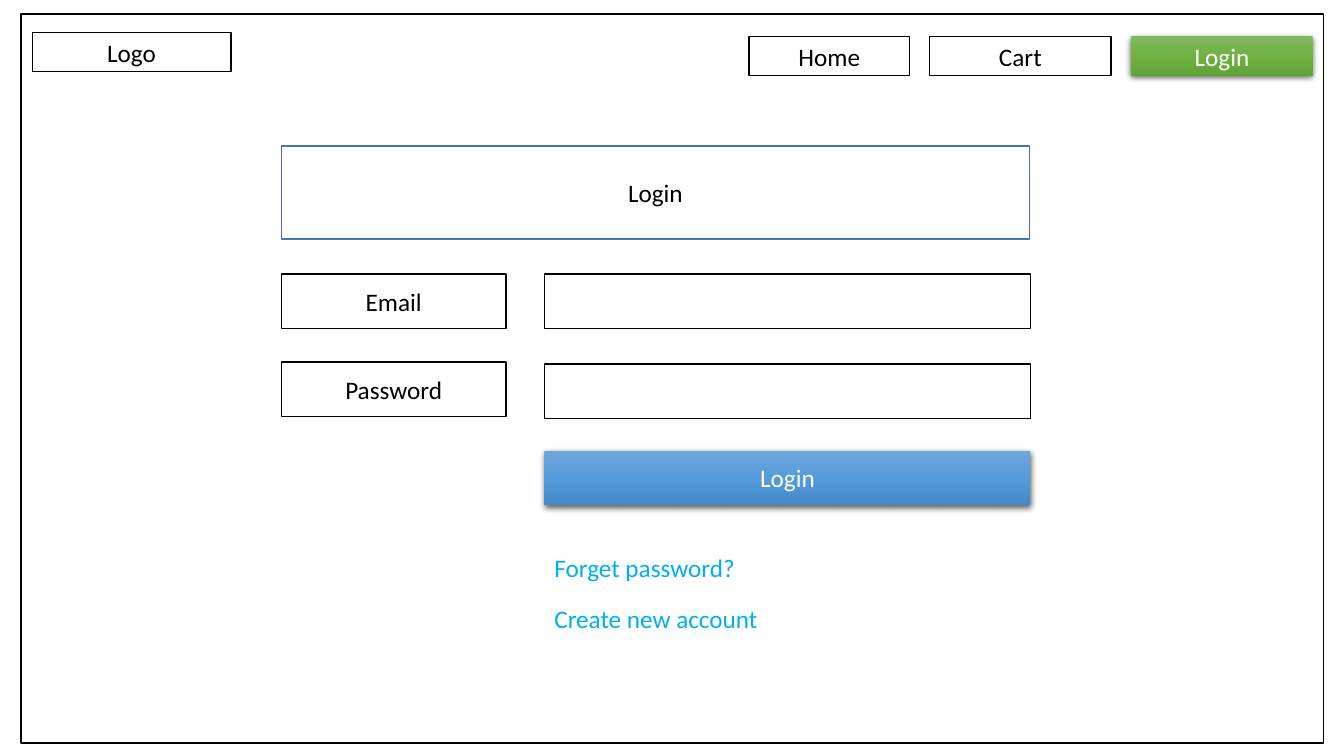
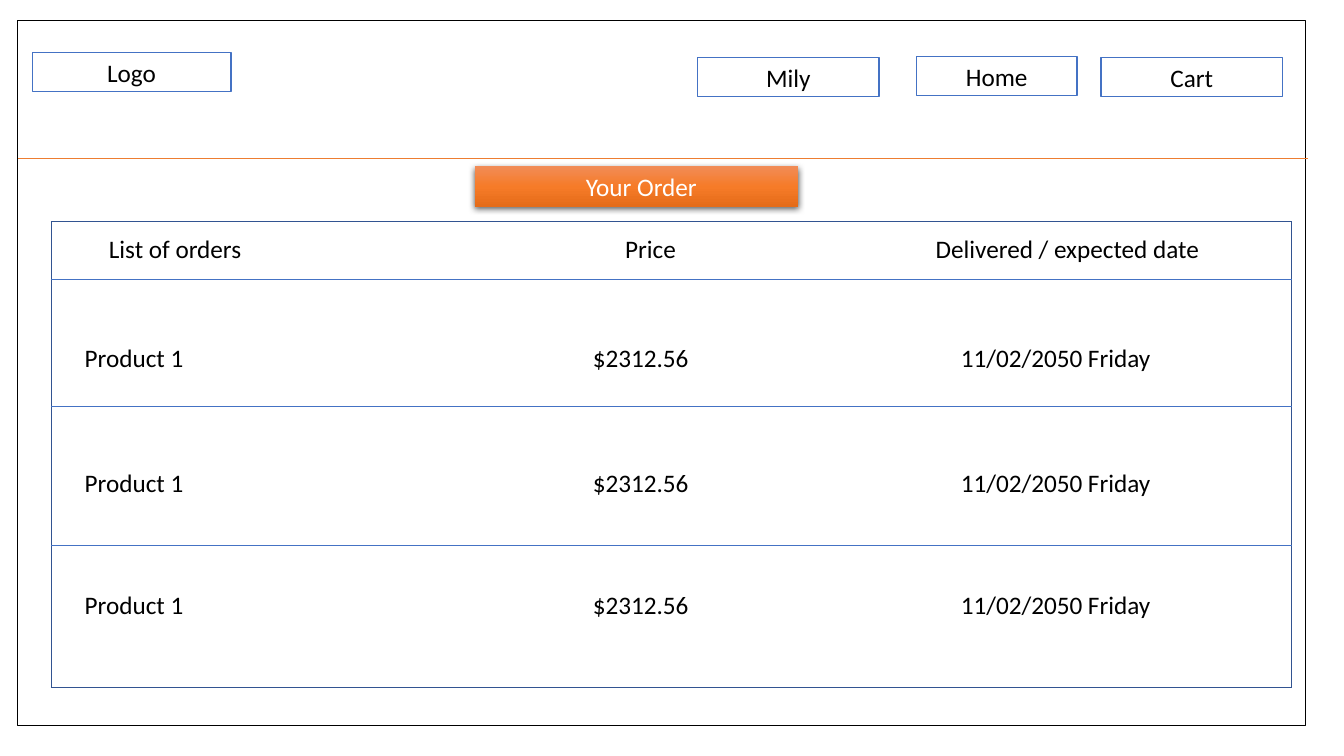
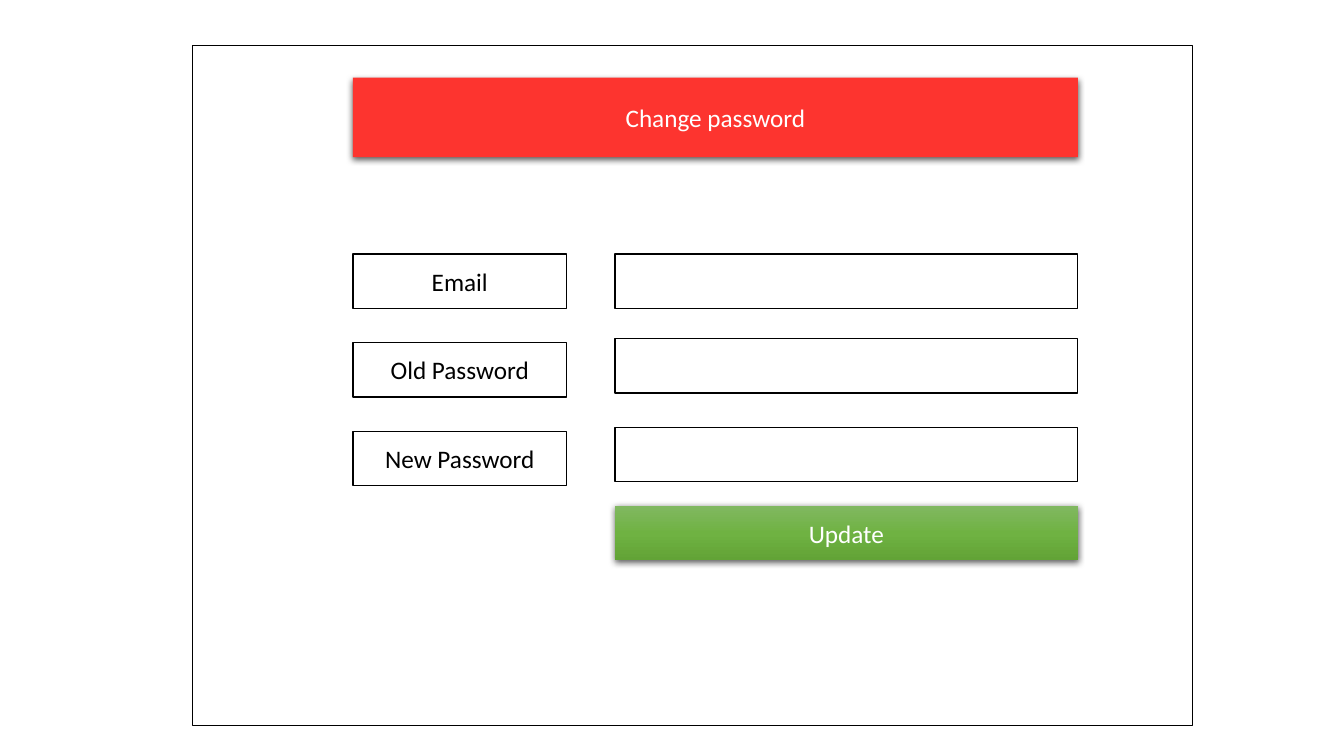
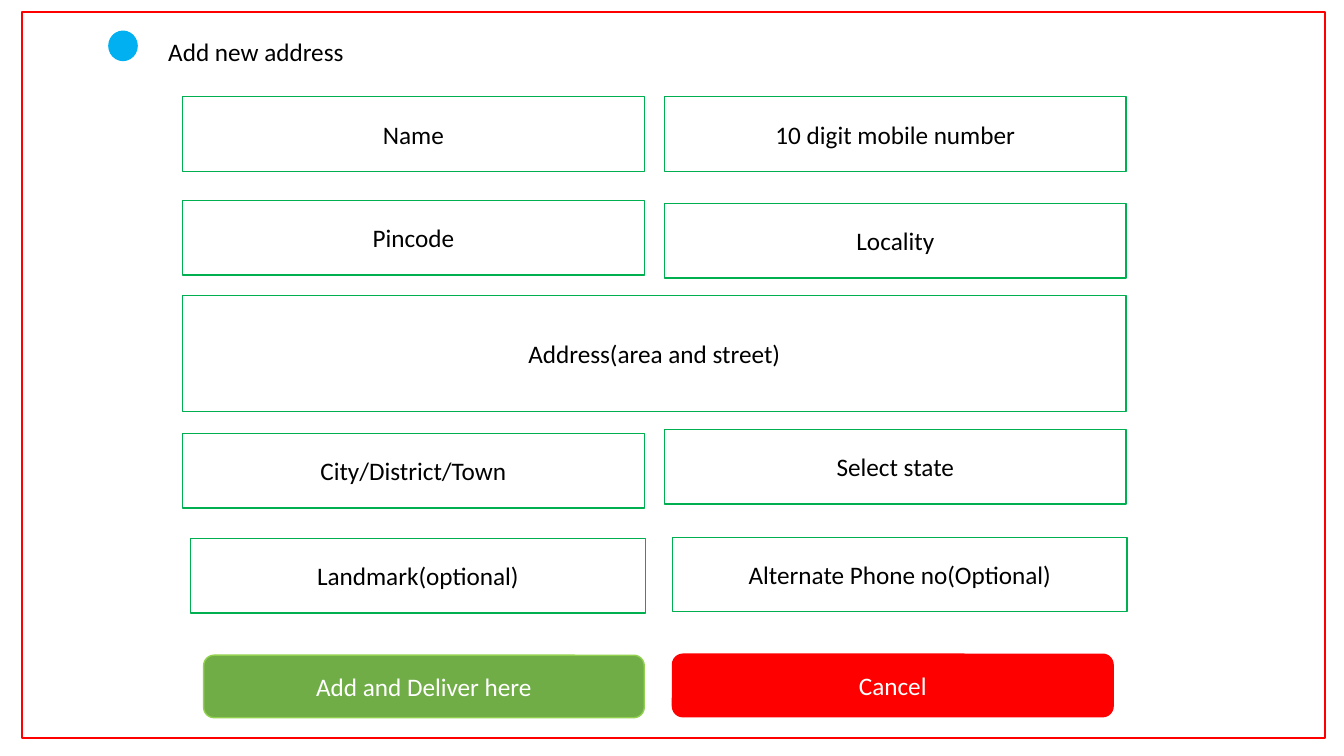
import pptx
import pptx.util
import pptx.dml.color
import pptx.enum.shapes
import pptx.enum.text
import pptx.oxml
import pptx.oxml.ns

Inches, Pt = pptx.util.Inches, pptx.util.Pt
SHAPE = pptx.enum.shapes.MSO_SHAPE
ANCHOR = pptx.enum.text.MSO_ANCHOR
ALIGN = pptx.enum.text.PP_ALIGN

COLORS = {
    "black": "000000", "white": "FFFFFF", "blue": "4472C4", "navy": "325491",
    "orange": "ED7D31", "red": "FF0000", "coral": "FD342F", "green": "00B050",
    "leaf": "70AD47", "lime": "92D050", "sky": "00B0F0",
}
GRADIENTS = {
    "blue": ("71A6DB", "559BDB", "448ACA"),
    "green": ("81B861", "6FB242", "62A336"),
    "orange": ("F18C57", "F67B28", "E56C19"),
}
FONT = {"name": "Calibri", "size": Pt(18)}
ROW_H = 0.54
NAV_H = 0.39

# Boxes are (left, top, width, height) in inches.
LOGIN = {
    "frame": (0.21, 0.14, 12.92, 7.23),
    "title": ("Login", (2.79, 1.45, 7.42, 0.92)),
    "nav": [("Logo", 0.32, 0.32, 1.97), ("Home", 7.43, 0.36, 1.59),
            ("Cart", 9.22, 0.36, 1.8)],
    "active": ("Login", (11.22, 0.36, 1.8, NAV_H)),
    "columns": ((2.79, 2.23), (5.4, 4.82)),
    "rows": [("Email", 2.72, 2.72), ("Password", 3.59, 3.61)],
    "button": ("Login", 4.47),
    "links": [("Forget password?", (5.4, 5.43, 2.32, 0.4)),
              ("Create new account", (5.4, 5.94, 2.83, 0.4))],
}
ORDERS = {
    "frame": (0.17, 0.2, 12.78, 7),
    "title": ("Your Order", (4.71, 1.65, 3.21, 0.4)),
    "nav": [("Logo", 0.32, 0.52, 1.97), ("Mily", 6.92, 0.57, 1.8),
            ("Cart", 10.92, 0.57, 1.8), ("Home", 9.09, 0.56, 1.59)],
    "rule": (0.18, 12.97, 1.57),
    "column_edges": (0.51, 5.5, 9.0, 12.81),
    "row_edges": (2.2, 2.77, 4.03, 5.41, 6.82),
    "rows": [("List of orders", "Price", "Delivered / expected date")]
            + [("Product 1", "$2312.56", "11/02/2050 Friday")] * 3,
    "header_insets": (0.57, 0.7, 0.28),
    "body_insets": (0.33, 0.38, 0.53),
    "top_insets": (0.13, 0.64, 0.62, 0.45),
}
PASSWORD = {
    "frame": (1.91, 0.45, 9.92, 6.75),
    "title": ("Change password", (3.5, 0.77, 7.19, 0.79)),
    "columns": ((3.5, 2.12), (6.1, 4.59)),
    "rows": [("Email", 2.52, 2.52), ("Old Password", 3.4, 3.36),
             ("New Password", 4.28, 4.24)],
    "button": ("Update", 5.02),
}
ADDRESS = {
    "frame": (0.22, 0.12, 12.92, 7.2),
    "title": ("Add new address", (1.57, 0.31, 3.28, 0.4)),
    "bullet": (1.08, 0.31, 0.28, 0.29),
    "fields": [
        ("Name", (1.81, 0.96, 4.58, 0.74)),
        ("10 digit mobile number", (6.59, 0.96, 4.58, 0.74)),
        ("Pincode", (1.81, 1.99, 4.58, 0.74)),
        ("Locality", (6.59, 2.02, 4.58, 0.74)),
        ("Address(area and street)", (1.81, 2.93, 9.36, 1.15)),
        ("City/District/Town", (1.81, 4.3, 4.58, 0.74)),
        ("Select state", (6.59, 4.26, 4.58, 0.74)),
        ("Landmark(optional)", (1.89, 5.34, 4.51, 0.74)),
        ("Alternate Phone no(Optional)", (6.67, 5.33, 4.51, 0.74)),
    ],
    "buttons": [("Add and Deliver here", (2.02, 6.5, 4.37, 0.62), "leaf", "lime"),
                ("Cancel", (6.67, 6.49, 4.37, 0.62), "red", "red")],
}


def rgb(name):
    """Return the named colour."""
    return pptx.dml.color.RGBColor.from_string(COLORS[name])


def xml(tag, body, attrs=""):
    """Return a DrawingML element."""
    ns = pptx.oxml.ns.nsdecls("a")
    return pptx.oxml.parse_xml(f"<a:{tag} {ns} {attrs}>{body}</a:{tag}>")


def solid(hex_color, extra=""):
    """Return the markup of one colour."""
    return f'<a:srgbClr val="{hex_color}">{extra}</a:srgbClr>'


def write(tf, text, color="black", align=ALIGN.LEFT):
    """Put one formatted paragraph in a text frame."""
    tf.word_wrap = True
    p = tf.paragraphs[0]
    p.alignment = align
    r = p.add_run()
    r.text = text
    for key, value in FONT.items():
        setattr(r.font, key, value)
    r.font.color.rgb = rgb(color)


def add_box(s, at, text="", fill="white", line="black", color="black",
            kind=SHAPE.RECTANGLE, weight=1):
    """Add a preset shape, with centred text if there is any."""
    sp = s.shapes.add_shape(kind, *map(Inches, at))
    sp.shadow.inherit = False
    if fill:
        sp.fill.solid()
        sp.fill.fore_color.rgb = rgb(fill)
    else:
        sp.fill.background()
    if line:
        sp.line.color.rgb = rgb(line)
        sp.line.width = Pt(weight)
    else:
        sp.line.fill.background()
    if text:
        sp.text_frame.vertical_anchor = ANCHOR.MIDDLE
        write(sp.text_frame, text, color, ALIGN.CENTER)
    return sp


def add_raised(s, at, text, fill=None, gradient=None):
    """Add a borderless box with a soft shadow and white text."""
    sp = add_box(s, at, text, fill, None, "white")
    spPr = sp._element.spPr
    if gradient:
        stops = "".join(f'<a:gs pos="{i * 50000}">{solid(c)}</a:gs>'
                        for i, c in enumerate(GRADIENTS[gradient]))
        body = f'<a:gsLst>{stops}</a:gsLst><a:lin ang="5400000" scaled="0"/>'
        old = spPr.find(pptx.oxml.ns.qn("a:noFill"))
        spPr.replace(old, xml("gradFill", body, 'rotWithShape="1"'))
    shadow = solid(COLORS["black"], '<a:alpha val="63000"/>')
    effects = spPr.find(pptx.oxml.ns.qn("a:effectLst"))
    effects.append(xml("outerShdw", shadow,
                       f'blurRad="{Pt(4.5)}" dist="{Pt(1.5)}" dir="5400000" '
                       'algn="ctr" rotWithShape="0"'))
    return sp


def add_text(s, text, at, color="black"):
    """Add a text box."""
    write(s.shapes.add_textbox(*map(Inches, at)).text_frame, text, color)


def add_nav(s, items, line):
    """Add the boxes of the top bar."""
    for text, left, top, width in items:
        add_box(s, (left, top, width, NAV_H), text, line=line)


def add_form(s, page, gradient):
    """Add label and field pairs, with a button under the fields."""
    (label_x, label_w), (field_x, field_w) = page["columns"]
    for label, label_y, field_y in page["rows"]:
        add_box(s, (label_x, label_y, label_w, ROW_H), label)
        add_box(s, (field_x, field_y, field_w, ROW_H))
    text, top = page["button"]
    add_raised(s, (field_x, top, field_w, ROW_H), text, gradient=gradient)


def set_borders(cell, sides):
    """Draw the borders given as (colour, points) or None, by side."""
    tcPr = cell._tc.get_or_add_tcPr()
    for i, side in enumerate("LRTB"):
        if sides[side]:
            color, weight = sides[side]
            body = f"<a:solidFill>{solid(COLORS[color])}</a:solidFill>"
        else:
            weight, body = 0, "<a:noFill/>"
        tcPr.insert(i, xml("ln" + side, body, f'w="{Pt(weight)}"'))


def add_orders(s, page):
    """Add the order table, ruled between rows and framed."""
    xs, ys, rows = page["column_edges"], page["row_edges"], page["rows"]
    last_row, last_col = len(rows) - 1, len(xs) - 2
    at = (xs[0], ys[0], xs[-1] - xs[0], ys[-1] - ys[0])
    table = s.shapes.add_table(len(rows), len(xs) - 1, *map(Inches, at)).table
    table.first_row = table.horz_banding = False
    for col, (a, b) in zip(table.columns, zip(xs, xs[1:])):
        col.width = Inches(b - a)
    for row, (a, b) in zip(table.rows, zip(ys, ys[1:])):
        row.height = Inches(b - a)
    outer, inner = ("navy", 1), ("blue", 0.5)
    for i, texts in enumerate(rows):
        insets = page["body_insets"] if i else page["header_insets"]
        for j, text in enumerate(texts):
            cell = table.cell(i, j)
            cell.fill.background()
            cell.margin_left = Inches(insets[j])
            cell.margin_top = Inches(page["top_insets"][i])
            write(cell.text_frame, text)
            set_borders(cell, {"L": None if j else outer,
                               "R": outer if j == last_col else None,
                               "T": inner if i else outer,
                               "B": outer if i == last_row else inner})


def login_slide(s, page):
    """Build the login page."""
    add_box(s, page["frame"])
    text, at = page["title"]
    add_box(s, at, text, line="blue")
    add_form(s, page, "blue")
    for text, at in page["links"]:
        add_text(s, text, at, "sky")
    add_nav(s, page["nav"], "black")
    text, at = page["active"]
    add_raised(s, at, text, gradient="green")


def orders_slide(s, page):
    """Build the order list page."""
    add_box(s, page["frame"], fill=None, weight=0.75)
    text, at = page["title"]
    sp = add_raised(s, at, text, gradient="orange")
    sp.text_frame.paragraphs[0].alignment = ALIGN.LEFT
    sp.text_frame.margin_left = Inches(1.1)
    add_orders(s, page)
    x1, x2, y = map(Inches, page["rule"])
    rule = s.shapes.add_connector(pptx.enum.shapes.MSO_CONNECTOR.STRAIGHT,
                                  x1, y, x2, y)
    rule.line.color.rgb = rgb("orange")
    rule.line.width = Pt(0.5)
    rule._element.spPr.append(xml("effectLst", ""))
    add_nav(s, page["nav"], "blue")


def password_slide(s, page):
    """Build the change password page."""
    add_box(s, page["frame"])
    text, at = page["title"]
    add_raised(s, at, text, fill="coral")
    add_form(s, page, "green")


def address_slide(s, page):
    """Build the new address page."""
    add_box(s, page["frame"], line="red", kind=SHAPE.FLOWCHART_PROCESS)
    for text, at in page["fields"]:
        add_box(s, at, text, line="green")
    for text, at, fill, line in page["buttons"]:
        add_box(s, at, text, fill, line, "white", SHAPE.ROUNDED_RECTANGLE)
    add_box(s, page["bullet"], fill="sky", line="sky",
            kind=SHAPE.FLOWCHART_CONNECTOR)
    add_text(s, *page["title"])


prs = pptx.Presentation()
prs.slide_width, prs.slide_height = Inches(13.33), Inches(7.5)
for build, page in ((login_slide, LOGIN), (orders_slide, ORDERS),
                    (password_slide, PASSWORD), (address_slide, ADDRESS)):
    build(prs.slides.add_slide(prs.slide_layouts[6]), page)
prs.save("out.pptx")
